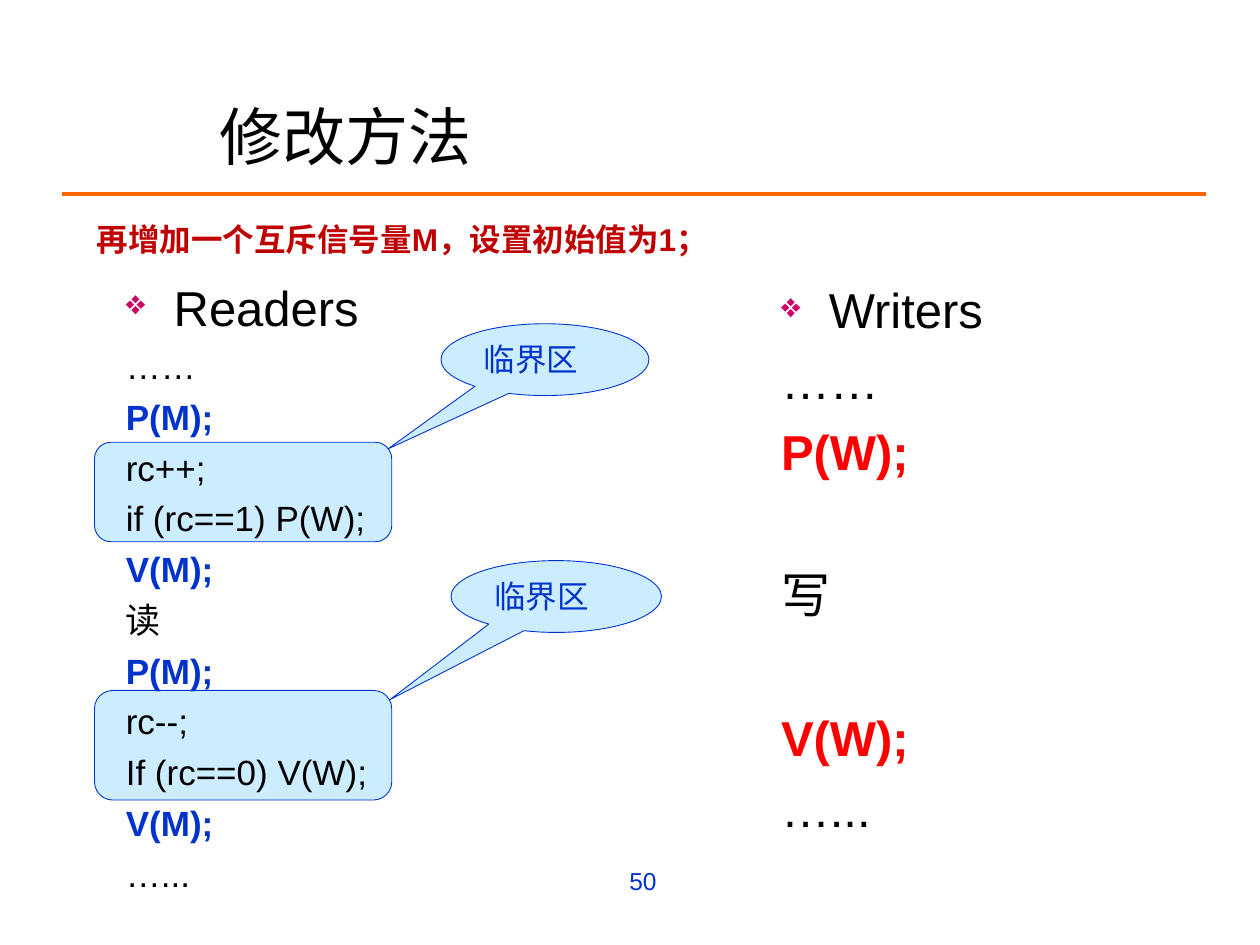
from lxml import etree
from pptx import Presentation
from pptx.dml.color import RGBColor
from pptx.enum.shapes import MSO_CONNECTOR, MSO_SHAPE
from pptx.enum.text import MSO_ANCHOR, PP_ALIGN
from pptx.oxml.ns import qn
from pptx.util import Inches, Pt

ROUNDED = MSO_SHAPE.ROUNDED_RECTANGLE
CALLOUT = MSO_SHAPE.OVAL_CALLOUT
STRAIGHT = MSO_CONNECTOR.STRAIGHT
TOP, MIDDLE = MSO_ANCHOR.TOP, MSO_ANCHOR.MIDDLE
LEFT, RIGHT = PP_ALIGN.LEFT, PP_ALIGN.RIGHT

FONT = "Arial"
COLORS = {
    "black": "000000",
    "blue": "0033CC",
    "pale": "CCECFF",
    "red": "FF0000",
    "dark_red": "C00000",
    "orange": "FF6600",
    "bullet": "CC0066",
}
INDENT = 0.38
SPACE_RATIO = 0.25  # space before a paragraph, relative to its text size
LINE_RATIO = 1.21  # height of a skipped line, relative to the text size

# Each line: text, colour, blank lines left above it
READER_LINES = [
    ("……", "black", 0),
    ("P(M);", "blue", 0),
    ("rc++;", "black", 0),
    ("if (rc==1) P(W);", "black", 0),
    ("V(M);", "blue", 0),
    ("读", "black", 0),
    ("P(M);", "blue", 0),
    ("rc--;", "black", 0),
    ("If (rc==0) V(W);", "black", 0),
    ("V(M);", "blue", 0),
    ("…...", "black", 0),
]
WRITER_LINES = [
    ("……", "black", 0),
    ("P(W);", "red", 0),
    ("写", "black", 1),
    ("V(W);", "red", 1),
    ("…...", "black", 0),
]


def rgb(name):
    return RGBColor.from_string(COLORS[name])


def inches(box):
    return [Inches(value) for value in box]


def style(para, size, color, bold=False, align=LEFT):
    para.alignment = align
    for span in para.runs:
        span.font.name = FONT
        span.font.size = Pt(size)
        span.font.bold = bold
        span.font.color.rgb = rgb(color)


def add_title(page, box, text):
    title = page.shapes.title
    title.left, title.top, title.width, title.height = inches(box)
    title.text_frame.text = text
    title.text_frame.vertical_anchor = MIDDLE
    style(title.text_frame.paragraphs[0], 36, "black")


def add_rule(page, left, right, y):
    rule = page.shapes.add_connector(STRAIGHT, *inches((left, y, right, y)))
    rule.line.color.rgb = rgb("orange")
    rule.line.width = Pt(2.25)
    etree.SubElement(rule._element.spPr, qn("a:effectLst"))


def add_panel(page, kind, box, adjustments):
    panel = page.shapes.add_shape(kind, *inches(box))
    panel.shadow.inherit = False
    for index, value in enumerate(adjustments):
        panel.adjustments[index] = value
    panel.fill.solid()
    panel.fill.fore_color.rgb = rgb("pale")
    panel.line.color.rgb = rgb("blue")
    panel.line.width = Pt(0.5)
    return panel


def add_callout(page, box, tip, text):
    frame = add_panel(page, CALLOUT, box, tip).text_frame
    frame.text = text
    frame.vertical_anchor = TOP
    style(frame.paragraphs[0], 18, "blue")


def add_text(page, box, text, size, color, **options):
    frame = page.shapes.add_textbox(*inches(box)).text_frame
    frame.word_wrap = True
    frame.text = text
    style(frame.paragraphs[0], size, color, **options)
    return frame


def add_bullet(para):
    props = para._p.get_or_add_pPr()
    props.set("marL", str(Inches(INDENT)))
    props.set("indent", str(-Inches(INDENT)))
    color = etree.SubElement(props, qn("a:buClr"))
    etree.SubElement(color, qn("a:srgbClr"), val=COLORS["bullet"])
    etree.SubElement(props, qn("a:buSzPct"), val="70000")
    etree.SubElement(props, qn("a:buChar"), char="❖")


def add_process(page, box, heading, lines, size):
    frame = add_text(page, box, heading, 28, "black")
    add_bullet(frame.paragraphs[0])
    gap = size * SPACE_RATIO
    for text, color, blanks in lines:
        para = frame.add_paragraph()
        para.text = text
        para.space_before = Pt(round(gap + blanks * (gap + size * LINE_RATIO), 1))
        style(para, size, color, bold=color != "black")


def main():
    deck = Presentation()
    deck.slide_width, deck.slide_height = Inches(10), Inches(7.5)
    page = deck.slides.add_slide(deck.slide_layouts[5])

    # Heading
    add_rule(page, 0.49, 9.57, 1.54)
    add_title(page, (1.64, 0.75, 7.26, 0.64), "修改方法")
    add_text(page, (0.67, 1.7, 5.43, 0.4), "再增加一个互斥信号量M，设置初始值为1；",
             18, "dark_red", bold=True)

    # Critical sections behind the reader code
    for top, height in ((3.51, 0.79), (5.48, 0.87)):
        add_panel(page, ROUNDED, (0.75, top, 2.36, height), (0.167,))

    # Reader and writer code
    add_process(page, (0.9, 2.15, 3.31, 4.87), "Readers", READER_LINES, 20)
    add_process(page, (6.1, 2.17, 3.15, 4.57), "Writers", WRITER_LINES, 28)

    # Callouts
    add_callout(page, (3.5, 2.57, 1.65, 0.57), (-0.755, 1.242), "临界区")
    add_callout(page, (3.58, 4.45, 1.67, 0.57), (-0.789, 1.433), "临界区")

    # Page number
    add_text(page, (2.8, 6.82, 2.51, 0.52), "50", 14, "blue", align=RIGHT)

    deck.save("out.pptx")


if __name__ == "__main__":
    main()
